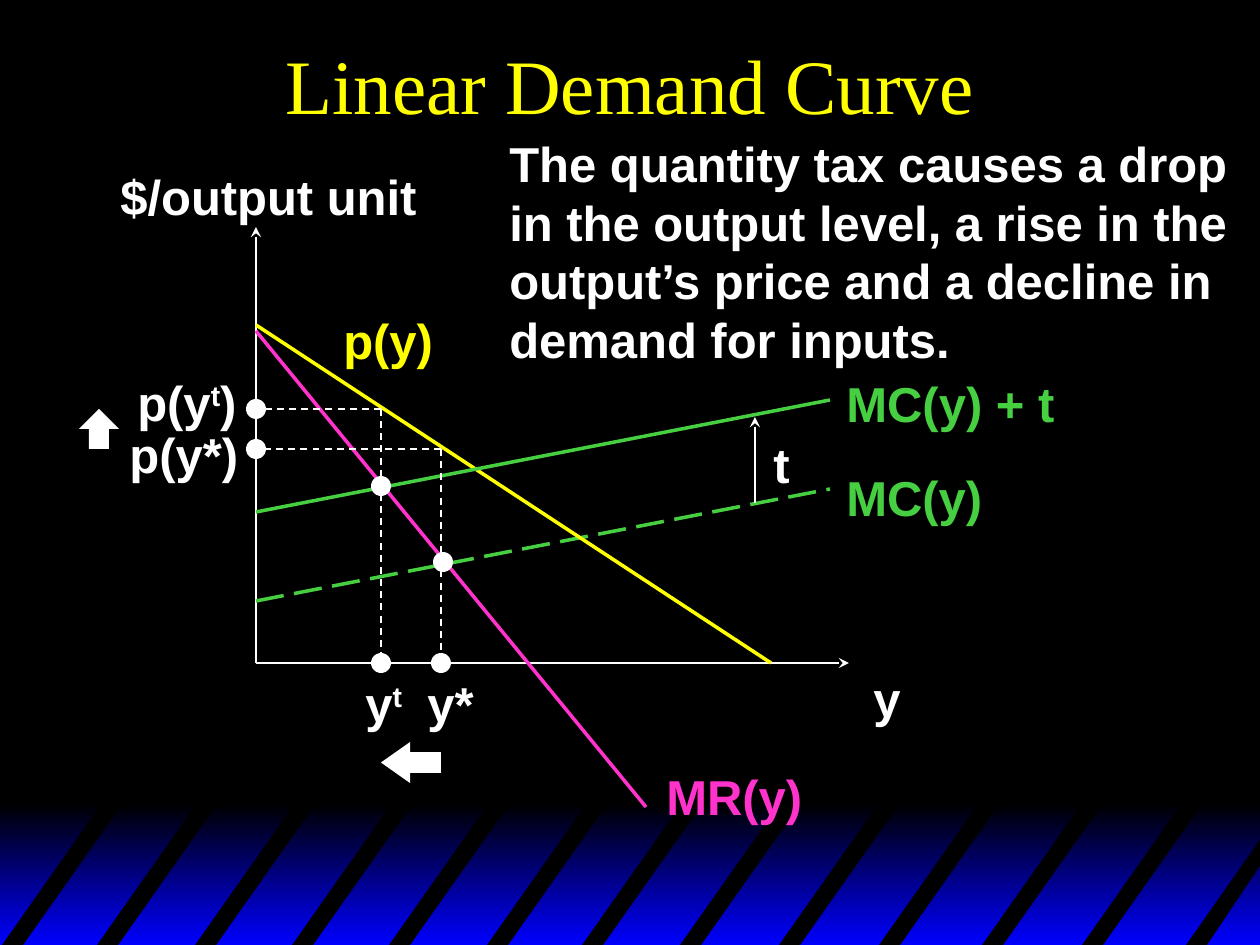
from dataclasses import dataclass

from lxml import etree
from pptx import Presentation
from pptx import util as u
from pptx.dml.color import RGBColor
from pptx.enum import dml, shapes, text
from pptx.oxml.ns import qn

EMU_PER_PX = 914400 / 126


@dataclass(frozen=True)
class Theme:
    black: str = "000000"
    blue: str = "0000FF"
    white: str = "FFFFFF"
    yellow: str = "FFFF00"
    green: str = "46CF41"
    pink: str = "FF33CC"
    title_font: str = "Times New Roman"
    body_font: str = "Arial"
    title_size: int = 44
    body_size: int = 28


THEME = Theme()


def px(length):
    return u.Emu(round(length * EMU_PER_PX))


def rgb(colour):
    return RGBColor.from_string(colour)


def paint(shape, colour):
    shape.shadow.inherit = False
    shape.fill.solid()
    shape.fill.fore_color.rgb = rgb(colour)
    shape.line.fill.background()
    return shape


def add_preset(page, kind, left, top, width, height, colour):
    shape = page.shapes.add_shape(kind, px(left), px(top), px(width), px(height))
    return paint(shape, colour)


def add_polygon(page, points, colour):
    builder = page.shapes.build_freeform(*points[0], scale=EMU_PER_PX)
    builder.add_line_segments(points[1:], close=True)
    paint(builder.convert_to_shape(), colour)


def add_line(page, start, end, colour=THEME.white, width=1, dash=None, arrow=None):
    """Draw a line; arrow names the end with a head: headEnd or tailEnd."""
    line = page.shapes.add_connector(
        shapes.MSO_CONNECTOR.STRAIGHT, *map(px, start), *map(px, end))
    line.line.color.rgb = rgb(colour)
    line.line.width = u.Pt(width)
    if dash:
        line.line.dash_style = dash
    if arrow:
        etree.SubElement(line.line._get_or_add_ln(), qn(f"a:{arrow}"), type="stealth")
    etree.SubElement(line._element.spPr, qn("a:effectLst"))


def add_dot(page, x, y):
    add_preset(page, shapes.MSO_SHAPE.OVAL, x - 10, y - 10, 20, 20, THEME.white)


def add_span(para, words, colour, raised=False):
    span = para.add_run()
    span.text = words
    span.font.name = THEME.body_font
    span.font.size = u.Pt(THEME.body_size)
    span.font.bold = True
    span.font.color.rgb = rgb(colour)
    if raised:
        span._r.get_or_add_rPr().set("baseline", "30000")


def add_label(page, left, top, width, words, colour=THEME.white, height=72):
    """Write a label; ^ switches superscript on and off, \\n breaks the line."""
    box = page.shapes.add_textbox(px(left), px(top), px(width), px(height))
    box.text_frame.word_wrap = False
    box.text_frame.auto_size = text.MSO_AUTO_SIZE.SHAPE_TO_FIT_TEXT
    para = box.text_frame.paragraphs[0]
    for row, line in enumerate(words.split("\n")):
        if row:
            para.add_line_break()
        for index, part in enumerate(line.split("^")):
            if part:
                add_span(para, part, colour, raised=index % 2 == 1)


def add_title(page, words):
    box = page.shapes.add_textbox(0, 0, px(1260), px(168))
    frame = box.text_frame
    frame.word_wrap = True
    frame.vertical_anchor = text.MSO_ANCHOR.MIDDLE
    para = frame.paragraphs[0]
    para.alignment = text.PP_ALIGN.CENTER
    span = para.add_run()
    span.text = words
    span.font.name = THEME.title_font
    span.font.size = u.Pt(THEME.title_size)
    span.font.color.rgb = rgb(THEME.yellow)


def add_backdrop(page):
    page.background.fill.solid()
    page.background.fill.fore_color.rgb = rgb(THEME.black)

    # Blue glow along the foot
    glow = add_preset(page, shapes.MSO_SHAPE.RECTANGLE, 0, 804, 1262, 141, THEME.blue)
    glow.fill.gradient()
    glow.fill.gradient_angle = 270
    for stop, colour in zip(glow.fill.gradient_stops, (THEME.black, THEME.blue)):
        stop.color.rgb = rgb(colour)

    # Slanted stripes; the last is cut by the right edge
    top, bottom, slant, thick = 799, 948, 105, 21
    for left in (0, 95, 193, 290, 387, 485, 580, 678, 777, 877, 980, 1080):
        add_polygon(page, [(left, bottom), (left + slant, top),
                           (left + slant + thick, top), (left + thick, bottom)],
                    THEME.black)
    add_polygon(page, [(1184, bottom), (1262, 837), (1262, 863), (1205, bottom)],
                THEME.black)


def add_diagram(page):
    axis_x, axis_y = 256, 663
    taxed_x, free_x = 381, 441
    taxed_price, free_price = 409, 449
    dash = dml.MSO_LINE.DASH

    # Axes
    add_line(page, (axis_x, 227), (axis_x, axis_y), arrow="headEnd")
    add_line(page, (axis_x, axis_y), (849, axis_y), arrow="tailEnd")

    # Cost, demand and revenue lines
    add_line(page, (axis_x, 601), (830, 489), THEME.green, 2, dml.MSO_LINE.LONG_DASH)
    add_line(page, (axis_x, 325), (771, axis_y), THEME.yellow, 2)
    add_line(page, (axis_x, 331), (646, 807), THEME.pink, 2)
    add_line(page, (axis_x, 512), (830, 400), THEME.green, 2)
    add_line(page, (755, 417), (755, 503), arrow="headEnd")

    # Guides and dots for both outputs
    for x, price, cost_point in ((free_x, free_price, (443, 562)),
                                 (taxed_x, taxed_price, (taxed_x, 486))):
        add_line(page, (x, price), (x, axis_y), dash=dash)
        add_line(page, (x, price), (axis_x, price), dash=dash)
        for point in (cost_point, (axis_x, price), (x, axis_y)):
            add_dot(page, *point)

    # Direction of change
    left_arrow = add_preset(page, shapes.MSO_SHAPE.LEFT_ARROW, taxed_x, 742,
                            free_x - taxed_x, 41, THEME.white)
    left_arrow.adjustments[1] = 0.71
    add_preset(page, shapes.MSO_SHAPE.UP_ARROW, 79, taxed_price, 40,
               free_price - taxed_price, THEME.white)


def add_labels(page):
    for label in (
        (108, 160, 321, "$/output unit"),
        (861, 662, 53, "y"),
        (834, 461, 161, "MC(y)", THEME.green),
        (331, 304, 115, "p(y)", THEME.yellow),
        (654, 760, 161, "MR(y)", THEME.pink),
        (834, 367, 233, "MC(y) + t", THEME.green),
        (761, 428, 42, "t"),
        (415, 667, 72, "y*"),
        (117, 418, 135, "p(y*)"),
        (353, 667, 62, "y^t^"),
        (125, 366, 125, "p(y^t^)"),
    ):
        add_label(page, *label)
    add_label(page, 497, 127, 743,
              "The quantity tax causes a drop\nin the output level, a rise in the\n"
              "output’s price and a decline in\ndemand for inputs.", height=248)


def main():
    deck = Presentation()
    deck.slide_width, deck.slide_height = px(1260), px(945)
    page = deck.slides.add_slide(deck.slide_layouts[6])
    add_backdrop(page)
    add_diagram(page)
    add_labels(page)
    add_title(page, "Linear Demand Curve")
    deck.save("out.pptx")


if __name__ == "__main__":
    main()
